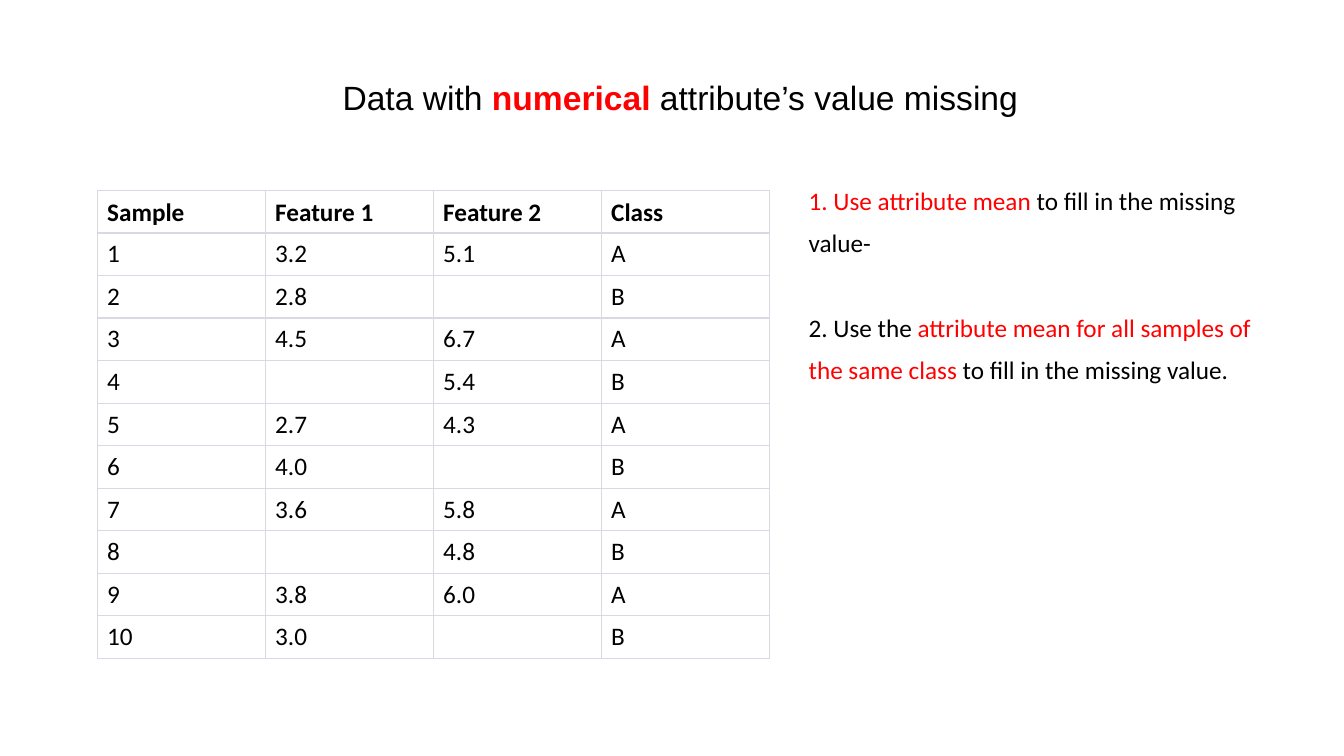
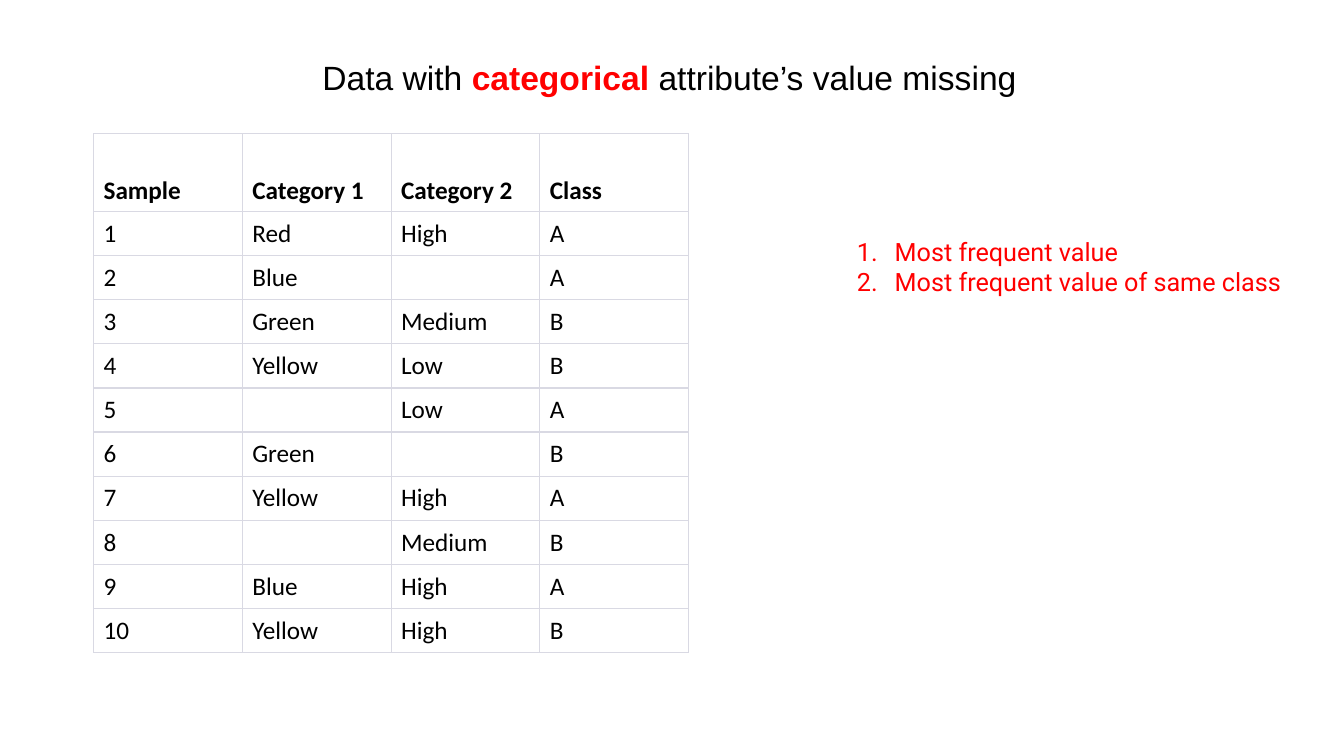
import pptx
import pptx.dml.color
import pptx.enum.text
import pptx.oxml.ns
import pptx.util
from lxml import etree

Pt = pptx.util.Pt
Anchor = pptx.enum.text.MSO_ANCHOR

COLORS = {"text": "000000", "accent": "FF0000", "border": "D9D9E3"}
BODY_SIZE = 18
TITLE_SIZE = 24

NUMERICAL_ROWS = [
    ("Sample", "Feature 1", "Feature 2", "Class"),
    ("1", "3.2", "5.1", "A"),
    ("2", "2.8", "", "B"),
    ("3", "4.5", "6.7", "A"),
    ("4", "", "5.4", "B"),
    ("5", "2.7", "4.3", "A"),
    ("6", "4.0", "", "B"),
    ("7", "3.6", "5.8", "A"),
    ("8", "", "4.8", "B"),
    ("9", "3.8", "6.0", "A"),
    ("10", "3.0", "", "B"),
]
CATEGORICAL_ROWS = [
    ("Sample", "Category 1", "Category 2", "Class"),
    ("1", "Red", "High", "A"),
    ("2", "Blue", "", "A"),
    ("3", "Green", "Medium", "B"),
    ("4", "Yellow", "Low", "B"),
    ("5", "", "Low", "A"),
    ("6", "Green", "", "B"),
    ("7", "Yellow", "High", "A"),
    ("8", "", "Medium", "B"),
    ("9", "Blue", "High", "A"),
    ("10", "Yellow", "High", "B"),
]


def rgb(name):
    return pptx.dml.color.RGBColor.from_string(COLORS[name])


def add_element(parent, tag, **attributes):
    return etree.SubElement(parent, pptx.oxml.ns.qn(tag), attributes)


def set_font(paragraph, name, size):
    paragraph.font.name = name
    paragraph.font.size = Pt(size)


def add_runs(paragraph, runs):
    for text, color, bold in runs:
        run = paragraph.add_run()
        run.text = text
        run.font.color.rgb = rgb(color)
        run.font.bold = bold


def add_text_frame(slide, left, top, width, height, wrap):
    box = slide.shapes.add_textbox(Pt(left), Pt(top), Pt(width), Pt(height))
    box.text_frame.word_wrap = wrap
    return box.text_frame


def add_title(slide, left, top, width, kind):
    frame = add_text_frame(slide, left, top, width, 36, False)
    paragraph = frame.paragraphs[0]
    set_font(paragraph, "Arial", TITLE_SIZE)
    add_runs(paragraph, [
        ("Data with ", "text", False),
        (kind, "accent", True),
        (" attribute’s value missing", "text", False),
    ])


def set_borders(cell, is_first, is_last):
    properties = cell._tc.get_or_add_tcPr()
    widths = {
        "a:lnL": 0.75,
        "a:lnR": 0.75,
        "a:lnT": 0.75 if is_first else 1,
        "a:lnB": 0.75 if is_last else 1,
    }
    for tag, width in widths.items():
        line = add_element(properties, tag, w=str(Pt(width)))
        fill = add_element(line, "a:solidFill")
        add_element(fill, "a:srgbClr", val=COLORS["border"])


def add_data_table(slide, left, top, column_width, header_height, row_height, rows):
    column_count = len(rows[0])
    height = header_height + row_height * (len(rows) - 1)
    table = slide.shapes.add_table(
        len(rows), column_count, Pt(left), Pt(top),
        Pt(column_width * column_count), Pt(height)).table
    table.first_row = False
    table.horz_banding = False
    for column in table.columns:
        column.width = Pt(column_width)
    for row_index, values in enumerate(rows):
        is_header = row_index == 0
        table.rows[row_index].height = Pt(header_height if is_header else row_height)
        for column_index, value in enumerate(values):
            cell = table.cell(row_index, column_index)
            cell.vertical_anchor = Anchor.BOTTOM if is_header else Anchor.MIDDLE
            set_borders(cell, is_header, row_index == len(rows) - 1)
            cell.fill.background()
            paragraph = cell.text_frame.paragraphs[0]
            set_font(paragraph, "Calibri", BODY_SIZE)
            if value:
                add_runs(paragraph, [(value, "text", is_header)])


def add_notes_text(slide, left, top, width, height, paragraphs):
    frame = add_text_frame(slide, left, top, width, height, True)
    for index, runs in enumerate(paragraphs):
        paragraph = frame.add_paragraph() if index else frame.paragraphs[0]
        paragraph.line_spacing = 1.4
        if index:
            paragraph.space_before = Pt(30)
        set_font(paragraph, "Calibri", BODY_SIZE)
        add_runs(paragraph, runs)


def add_numbered_list(slide, left, top, width, height, items):
    frame = add_text_frame(slide, left, top, width, height, False)
    for index, item in enumerate(items):
        paragraph = frame.add_paragraph() if index else frame.paragraphs[0]
        properties = paragraph._p.get_or_add_pPr()
        properties.set("marL", str(Pt(27)))
        properties.set("indent", str(Pt(-27)))
        add_element(properties, "a:buAutoNum", type="arabicPeriod")
        set_font(paragraph, "Roboto", BODY_SIZE)
        add_runs(paragraph, [(item, "accent", False)])


def add_numerical_slide(presentation):
    slide = presentation.slides.add_slide(presentation.slide_layouts[6])
    add_data_table(slide, 69.4, 136, 120, 30.4, 30.4, NUMERICAL_ROWS)
    add_notes_text(slide, 570.5, 120.2, 351, 157, [
        [("1. Use attribute mean ", "accent", False),
         ("to fill in the missing value-", "text", False)],
        [("2. Use the ", "text", False),
         ("attribute mean for all samples of the same class ", "accent", False),
         ("to fill in the missing value.", "text", False)],
    ])
    add_title(slide, 237.6, 51.3, 498, "numerical")


def add_categorical_slide(presentation):
    slide = presentation.slides.add_slide(presentation.slide_layouts[6])
    add_data_table(slide, 66.8, 95.6, 106.25, 55.4, 31.54, CATEGORICAL_ROWS)
    add_numbered_list(slide, 605, 165, 320, 73, [
        "Most frequent value",
        "Most frequent value of same class",
    ])
    add_title(slide, 223.2, 37.4, 513, "categorical")


def main():
    presentation = pptx.Presentation()
    presentation.slide_width = Pt(960)
    presentation.slide_height = Pt(540)
    add_numerical_slide(presentation)
    add_categorical_slide(presentation)
    presentation.save("out.pptx")


if __name__ == "__main__":
    main()
